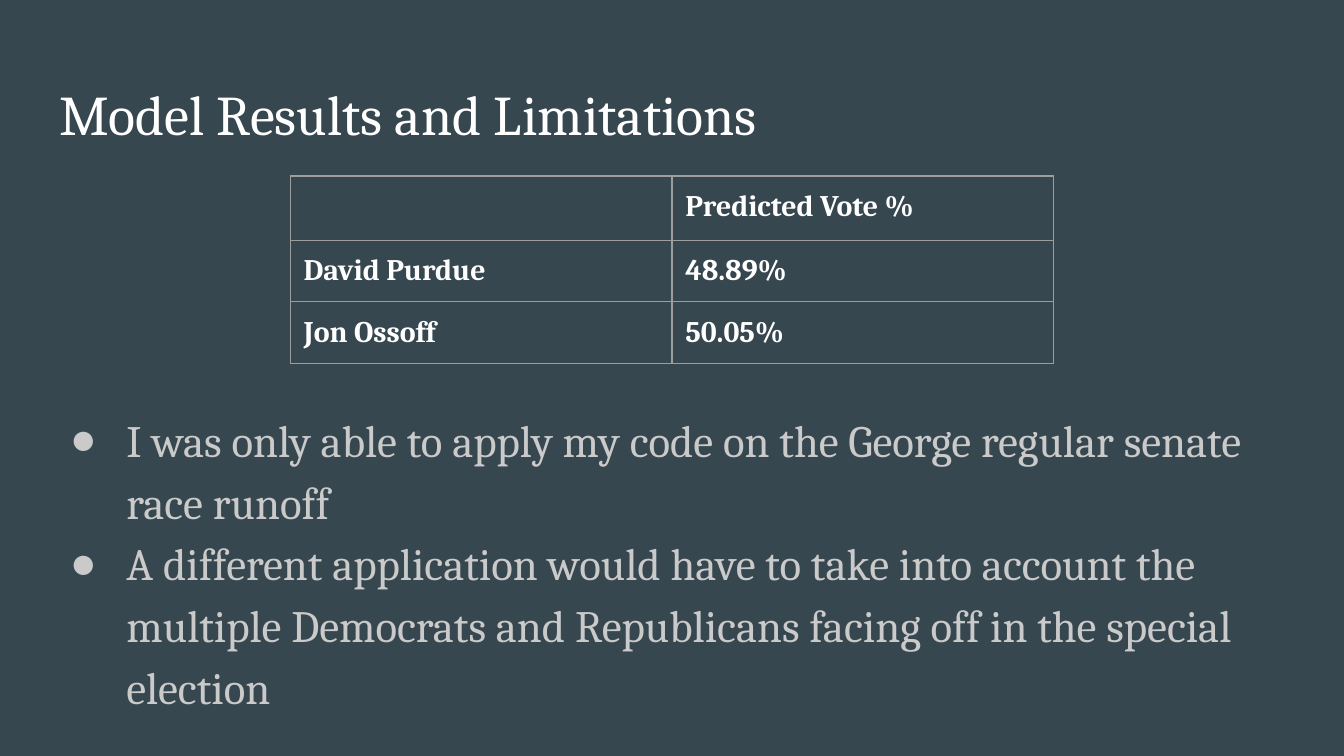
from lxml import etree
from pptx import Presentation
from pptx.dml.color import RGBColor
from pptx.enum import text
from pptx.oxml import ns
from pptx.util import Inches, Pt

FONT, BULLET_FONT = "Cambria", "Arial"
BACKGROUND, WHITE, GREY, BORDER = "37474F", "FFFFFF", "CACACA", "9E9E9E"
RESULTS = [
    ("", "Predicted Vote %"),
    ("David Purdue", "48.89%"),
    ("Jon Ossoff", "50.05%"),
]
LIMITATIONS = [
    "I was only able to apply my code on the George regular senate race runoff",
    "A different application would have to take into account the multiple "
    "Democrats and Republicans facing off in the special election",
]


def color(value):
    return RGBColor.from_string(value)


def set_attributes(target, values):
    for name, value in values.items():
        setattr(target, name, value)


def format_font(font, size, fill, bold=False):
    set_attributes(font, {"name": FONT, "size": Pt(size), "bold": bold})
    font.color.rgb = color(fill)


def add_element(parent, tag, **attributes):
    return etree.SubElement(parent, ns.qn(tag), attributes)


def set_insets(target):
    sides = ("left", "top", "right", "bottom")
    set_attributes(target, {f"margin_{side}": Inches(0.1) for side in sides})


def place_placeholder(shape, box):
    names = ("left", "top", "width", "height")
    set_attributes(shape, {name: Inches(v) for name, v in zip(names, box)})
    frame = shape.text_frame
    set_insets(frame)
    set_attributes(frame, {
        "word_wrap": True,
        "auto_size": text.MSO_AUTO_SIZE.NONE,
        "vertical_anchor": text.MSO_ANCHOR.TOP,
    })
    return frame


def fill_title(shape, box, title):
    frame = place_placeholder(shape, box)
    frame.text = title
    paragraph = frame.paragraphs[0]
    paragraph.alignment = text.PP_ALIGN.LEFT
    format_font(paragraph.font, 30, WHITE)


def fill_bullets(shape, box, items):
    frame = place_placeholder(shape, box)
    frame.text = "\n".join(items)
    for paragraph in frame.paragraphs:
        set_attributes(paragraph, {
            "line_spacing": 1.15, "space_before": Pt(0), "space_after": Pt(0),
        })
        properties = paragraph._p.get_or_add_pPr()
        properties.set("marL", str(Inches(0.5)))
        properties.set("indent", str(Inches(-0.42)))
        bullet_color = add_element(properties, "a:buClr")
        add_element(bullet_color, "a:srgbClr", val=GREY)
        add_element(properties, "a:buFont", typeface=BULLET_FONT)
        add_element(properties, "a:buChar", char="●")
        format_font(paragraph.font, 24, GREY)


def add_borders(cell):
    properties = cell._tc.get_or_add_tcPr()
    for position, side in enumerate(("a:lnL", "a:lnR", "a:lnT", "a:lnB")):
        line = etree.Element(ns.qn(side), w=str(Pt(0.75)))
        fill = add_element(line, "a:solidFill")
        add_element(fill, "a:srgbClr", val=BORDER)
        properties.insert(position, line)


def add_results_table(slide, box, rows):
    frame = slide.shapes.add_table(len(rows), len(rows[0]), *map(Inches, box))
    table = frame.table
    set_attributes(table, {"first_row": False, "horz_banding": False})
    for row, values in zip(table.rows, rows):
        for cell, value in zip(row.cells, values):
            cell.text = value
            cell.fill.background()
            set_insets(cell)
            add_borders(cell)
            format_font(cell.text_frame.paragraphs[0].font, 16, WHITE, True)
    table.rows[0].height = Inches(0.48)


def build_results_slide(presentation):
    slide = presentation.slides.add_slide(presentation.slide_layouts[1])
    background = slide.background.fill
    background.solid()
    background.fore_color.rgb = color(BACKGROUND)
    fill_title(slide.shapes.title, (0.34, 0.49, 9.32, 0.63),
               "Model Results and Limitations")
    add_results_table(slide, (2.16, 1.31, 5.68, 1.37), RESULTS)
    fill_bullets(slide.placeholders[1], (0.34, 2.91, 9.32, 2.28), LIMITATIONS)


def main():
    presentation = Presentation()
    set_attributes(presentation, {
        "slide_width": Inches(10), "slide_height": Inches(10) * 9 // 16,
    })
    build_results_slide(presentation)
    presentation.save("out.pptx")


if __name__ == "__main__":
    main()
